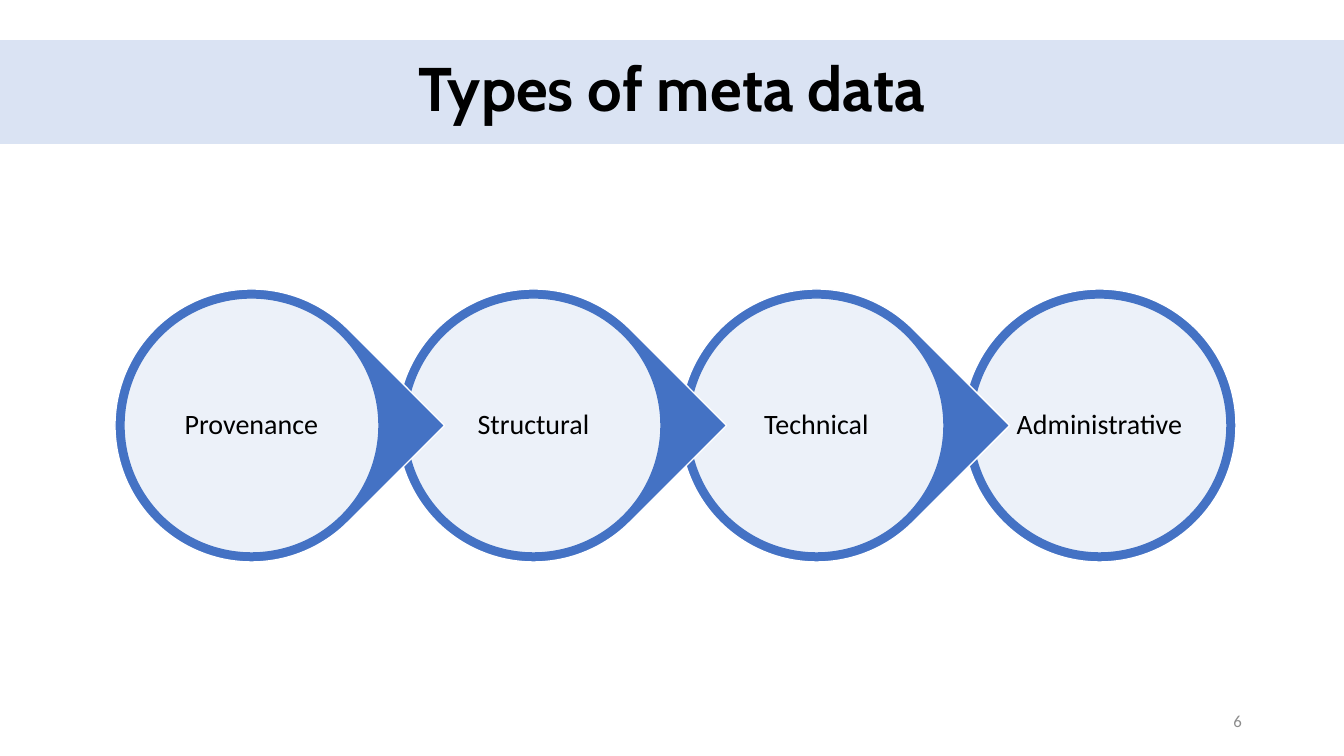
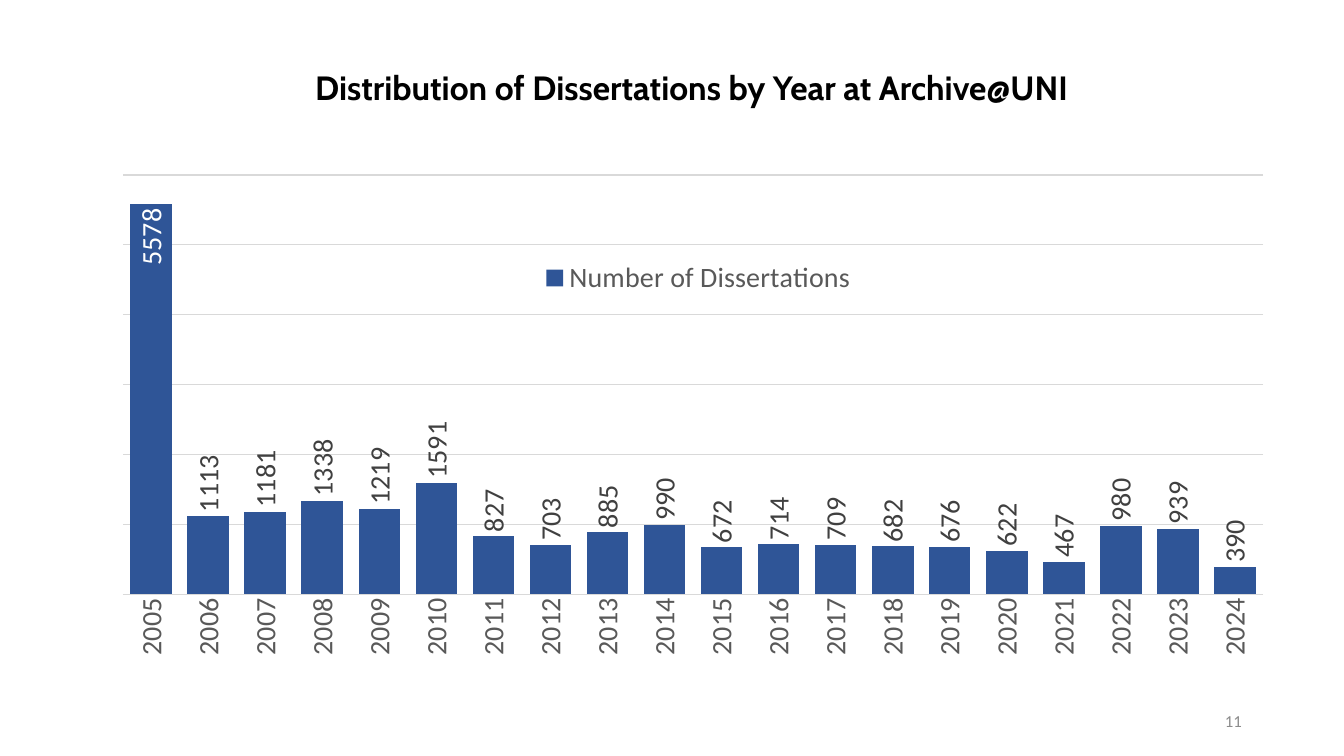
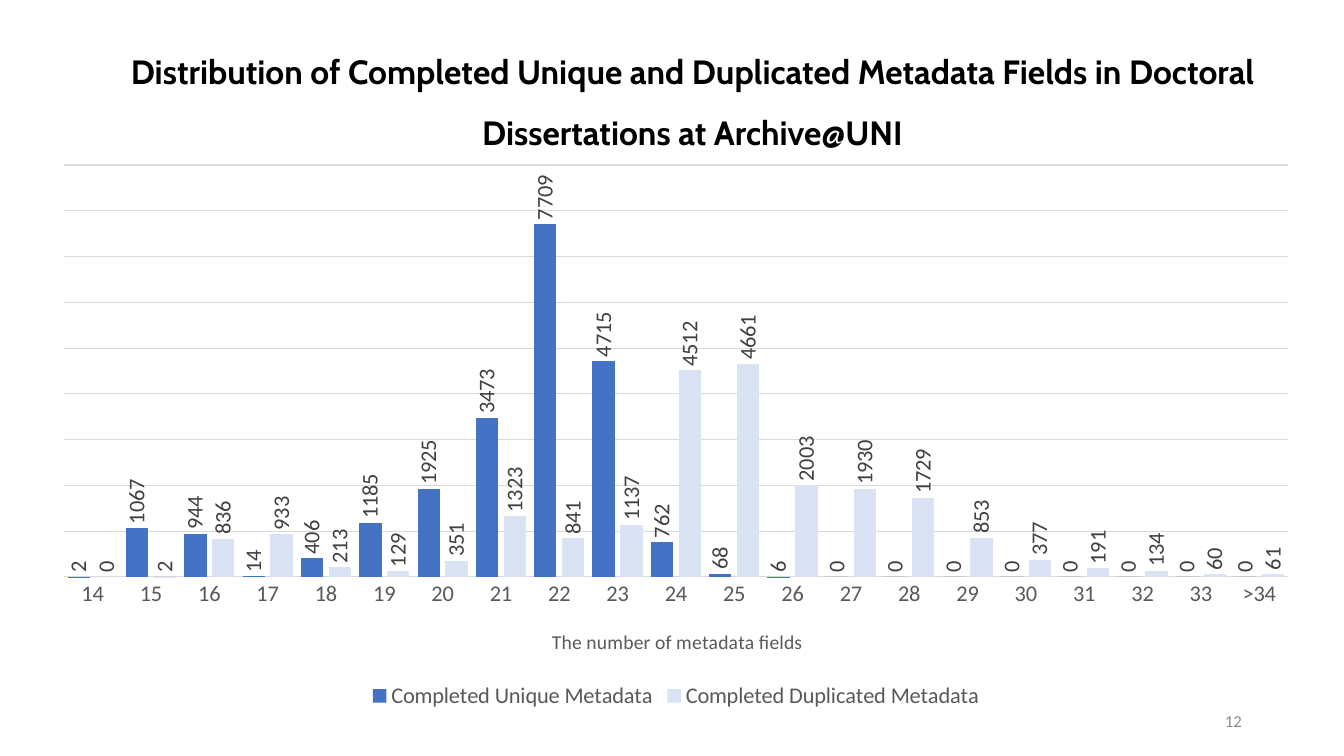
from lxml import etree
from pptx import Presentation
from pptx import util as u
from pptx.chart import data as chart_data
from pptx.dml import color
from pptx.enum import chart as charts, shapes, text
from pptx.oxml import ns

SCALE = 914400 / 100.8
COLORS = {
    "black": "000000", "white": "FFFFFF", "band": "DAE3F3", "blue": "4472C4",
    "navy": "2F5597", "grid": "D9D9D9", "axis": "595959", "label": "404040",
    "number": "8C8C8C",
}
TITLE_FONT, BODY_FONT = "Cabin", "Calibri"
ARCHIVE = "Archive@UNI"


def px(*lengths):
    return [u.Emu(round(length * SCALE)) for length in lengths]


def rgb(name):
    return color.RGBColor.from_string(COLORS[name])


def style_font(font, size, color_name, name=BODY_FONT, bold=False):
    font.size, font.name, font.bold = u.Pt(size), name, bold
    font.color.rgb = rgb(color_name)


def write(frame, content, size, color_name="black", name=BODY_FONT, bold=False,
          align=text.PP_ALIGN.CENTER, spacing=None):
    frame.word_wrap = True
    frame.auto_size = text.MSO_AUTO_SIZE.NONE
    frame.vertical_anchor = text.MSO_ANCHOR.MIDDLE
    paragraph = frame.paragraphs[0]
    paragraph.alignment, paragraph.line_spacing = align, spacing
    run = paragraph.add_run()
    run.text = content
    style_font(run.font, size, color_name, name, bold)


def add_slide(presentation, title, box, size, number, spacing=0.9):
    slide = presentation.slides.add_slide(presentation.slide_layouts[5])
    shape = slide.shapes.title
    shape.left, shape.top, shape.width, shape.height = px(*box)
    write(shape.text_frame, title, size, name=TITLE_FONT, bold=True, spacing=spacing)
    number_box = slide.shapes.add_textbox(*px(950, 701, 302, 40))
    write(number_box.text_frame, number, 12, "number", align=text.PP_ALIGN.RIGHT)
    return slide


def add_shape(slide, kind, box, fill, line):
    shape = slide.shapes.add_shape(kind, *px(*box))
    shape.shadow.inherit = False
    shape.fill.solid()
    shape.fill.fore_color.rgb = rgb(fill)
    shape.line.color.rgb = rgb(line)
    shape.line.width = u.Pt(1)
    return shape


def set_opacity(shape, percent):
    tint = shape._element.spPr.find(ns.qn("a:solidFill"))[0]
    etree.SubElement(tint, ns.qn("a:alpha")).set("val", str(percent * 1000))


def add_circle_chain(slide, names):
    left, top, size, rim, span = 115, 289, 273, 9, 848
    last = len(names) - 1
    for index in range(last, -1, -1):
        x = left + index * span // last
        is_last = index == last
        kind = shapes.MSO_SHAPE.OVAL if is_last else shapes.MSO_SHAPE.TEAR
        ring = add_shape(slide, kind, (x, top, size, size), "blue", "white")
        ring.rotation = 0 if is_last else 45
        inner = size - 2 * rim
        disc = add_shape(slide, shapes.MSO_SHAPE.OVAL,
                         (x + rim, top + rim, inner, inner), "white", "blue")
        set_opacity(disc, 90)
        frame = disc.text_frame
        frame.margin_left = frame.margin_right = 0
        write(frame, names[index], 20, spacing=0.9)


def set_layout(element, index, **values):
    for old in element.findall(ns.qn("c:layout")):
        element.remove(old)
    layout = etree.Element(ns.qn("c:layout"))
    manual = etree.SubElement(layout, ns.qn("c:manualLayout"))
    for tag, value in values.items():
        etree.SubElement(manual, ns.qn("c:" + tag)).set("val", str(value))
    element.insert(index, layout)


def turn_text(element):
    for body in element.iter(ns.qn("a:bodyPr")):
        body.set("rot", "-5400000")
        body.set("vert", "horz")


def add_column_chart(slide, box, categories, series, size, maximum, plot):
    source = chart_data.CategoryChartData()
    source.categories = categories
    for name, _, values in series:
        source.add_series(name, values)
    chart = slide.shapes.add_chart(
        charts.XL_CHART_TYPE.COLUMN_CLUSTERED, *px(*box), source).chart
    chart.has_title = False
    style_font(chart.font, 10, "black")
    columns = chart.plots[0]
    columns.gap_width, columns.overlap = 36, -25
    columns.vary_by_categories = False
    for column, (_, fill, _) in zip(columns.series, series):
        column.format.fill.solid()
        column.format.fill.fore_color.rgb = rgb(fill)
        labels = column.data_labels
        labels.show_value = True
        labels.position = charts.XL_LABEL_POSITION.OUTSIDE_END
        style_font(labels.font, size, "label")
        turn_text(column._element)

    category_axis, value_axis = chart.category_axis, chart.value_axis
    category_axis.major_tick_mark = charts.XL_TICK_MARK.NONE
    style_font(category_axis.tick_labels.font, size, "axis")
    value_axis.visible = False
    value_axis.minimum_scale, value_axis.maximum_scale = 0, maximum
    value_axis.major_unit = 1000
    for line in (category_axis.format.line, value_axis.major_gridlines.format.line):
        line.color.rgb = rgb("grid")
        line.width = u.Pt(0.75)

    chart.has_legend = True
    chart.legend.position = charts.XL_LEGEND_POSITION.BOTTOM
    chart.legend.include_in_layout = False
    style_font(chart.legend.font, size, "axis")
    x, y, width, height = plot
    set_layout(chart._chartSpace.chart.plotArea, 0, layoutTarget="inner",
               xMode="edge", yMode="edge", x=x, y=y, w=width, h=height)
    return chart


def build_types(presentation):
    slide = add_slide(presentation, "Types of meta data", (0, 40, 1344, 104), 44, "6")
    band = slide.shapes.title.fill
    band.solid()
    band.fore_color.rgb = rgb("band")
    add_circle_chain(slide, ["Provenance", "Structural", "Technical", "Administrative"])


def build_years(presentation):
    slide = add_slide(presentation, f"Distribution of Dissertations by Year at {ARCHIVE}",
                      (112, 57, 1159, 65), 24, "11")
    counts = [5578, 1113, 1181, 1338, 1219, 1591, 827, 703, 885, 990,
              672, 714, 709, 682, 676, 622, 467, 980, 939, 390]
    chart = add_column_chart(
        slide, (93, 144, 1199, 536), [str(year) for year in range(2005, 2025)],
        [("Number of Dissertations", "navy", counts)], 20, 6000,
        (0.025, 0.058, 0.951, 0.782))
    turn_text(chart.category_axis._element)
    column = chart.plots[0].series[0]
    tallest = column.points[0].data_label
    style_font(tallest.font, 20, "white")
    tallest.position = charts.XL_LABEL_POSITION.INSIDE_END
    turn_text(column._element)
    set_layout(chart.legend._element, 1, xMode="edge", yMode="edge",
               x=0.37, y=0.21, w=0.27, h=0.08)


def build_fields(presentation):
    title = ("Distribution of Completed Unique and Duplicated Metadata Fields in Doctoral "
             f"Dissertations at {ARCHIVE}")
    slide = add_slide(presentation, title, (71, 40, 1243, 139), 24, "12", 1.5)
    slide.shapes.title.text_frame.margin_bottom = px(41)[0]
    unique = [2, 1067, 944, 14, 406, 1185, 1925, 3473, 7709, 4715, 762, 68, 6] + [0] * 8
    duplicated = [0, 2, 836, 933, 213, 129, 351, 1323, 841, 1137, 4512, 4661,
                  2003, 1930, 1729, 853, 377, 191, 134, 60, 61]
    chart = add_column_chart(
        slide, (38, 155, 1276, 559), [str(count) for count in range(14, 34)] + [">34"],
        [("Completed Unique Metadata", "blue", unique),
         ("Completed Duplicated Metadata", "band", duplicated)], 16, 9000,
        (0.02, 0.018, 0.96, 0.737))
    axis_title = chart.category_axis.axis_title
    run = axis_title.text_frame.paragraphs[0].add_run()
    run.text = "The number of metadata fields"
    style_font(run.font, 14, "axis")
    set_layout(axis_title._element, 1, xMode="edge", yMode="edge", x=0.4, y=0.84)


def main():
    presentation = Presentation()
    presentation.slide_width, presentation.slide_height = px(1344, 756)
    build_types(presentation)
    build_years(presentation)
    build_fields(presentation)
    presentation.save("out.pptx")


if __name__ == "__main__":
    main()
